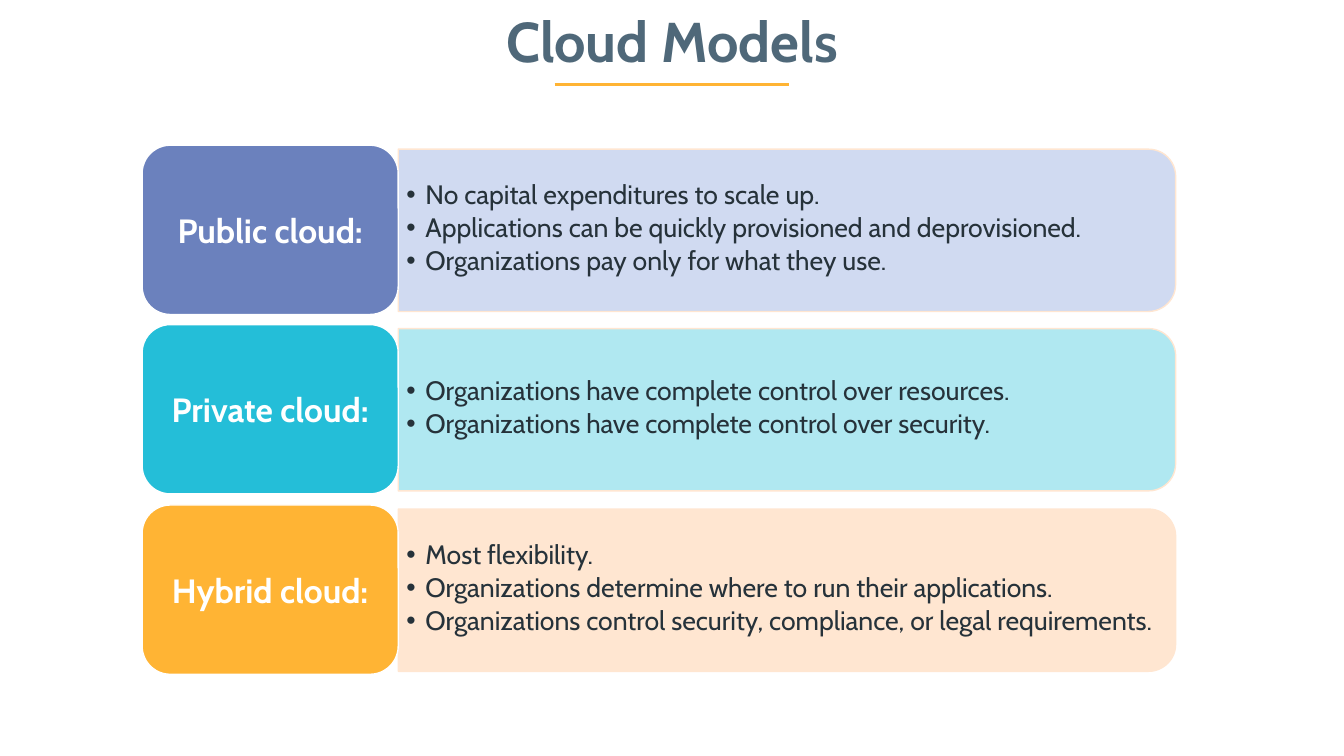
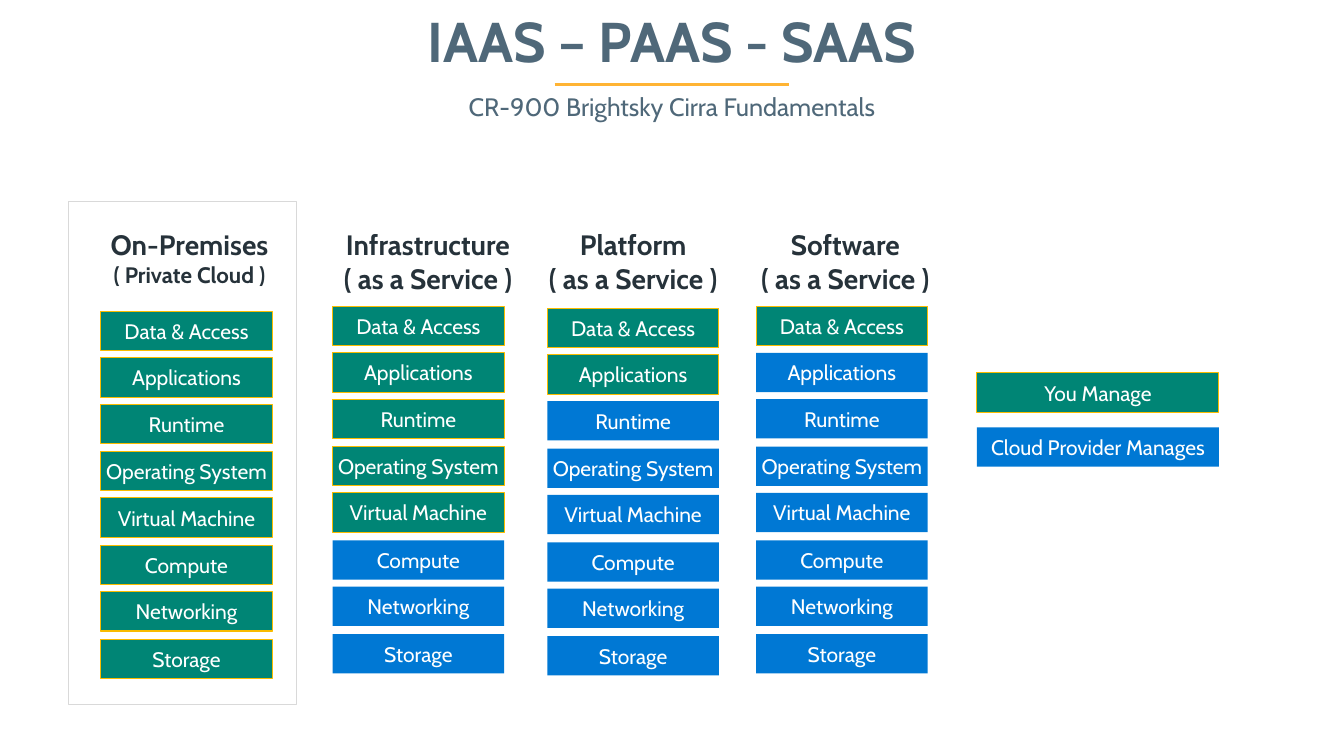
from lxml.etree import SubElement
from pptx import Presentation
from pptx.dml.color import RGBColor
from pptx.enum.shapes import MSO_CONNECTOR, MSO_SHAPE
from pptx.enum.text import MSO_ANCHOR, MSO_AUTO_SIZE, PP_ALIGN
from pptx.oxml.ns import qn
from pptx.util import Pt

PX = 9144  # 100 px to the inch
FONT = "Cabin"
SLATE, INK, WHITE, GOLD = "4F6879", "26323A", "FFFFFF", "FFB434"
GREEN, BLUE, EDGE, GREY = "008575", "0078D4", "F9BC00", "D9D9D9"
rgb = RGBColor.from_string


def write(shape, lines, size, color, bold=False, bullet=False, anchor=MSO_ANCHOR.MIDDLE):
    """Fill a shape with one paragraph per line; size may be a list, one per line."""
    frame = shape.text_frame
    frame.word_wrap = True
    frame.auto_size = MSO_AUTO_SIZE.NONE
    frame.vertical_anchor = anchor
    frame.margin_left = frame.margin_right = 8 * PX if bullet else 0
    frame.margin_top = frame.margin_bottom = 0
    sizes = size if isinstance(size, list) else [size] * len(lines)
    for i, (line, points) in enumerate(zip(lines, sizes)):
        para = frame.add_paragraph() if i else frame.paragraphs[0]
        para.alignment = PP_ALIGN.LEFT if bullet else PP_ALIGN.CENTER
        para.line_spacing = 0.9 if bullet else 1.0
        para.space_before = Pt(0)
        para.space_after = Pt(3 if bullet else 0)
        props = para._p.get_or_add_pPr()
        props.set("marL", str(19 * PX if bullet else 0))
        props.set("indent", str(-19 * PX if bullet else 0))
        if bullet:
            SubElement(props, qn("a:buChar")).set("char", "•")
        else:
            SubElement(props, qn("a:buNone"))
        run = para.add_run()
        run.text = line
        run.font.name = FONT
        run.font.size = Pt(points)
        run.font.bold = bold
        run.font.color.rgb = rgb(color)


def draw(slide, kind, box, fill=None, edge=None, width=0.75):
    """Add a flat preset shape, with or without fill and outline."""
    shape = slide.shapes.add_shape(kind, *[n * PX for n in box])
    shape.shadow.inherit = False
    if fill:
        shape.fill.solid()
        shape.fill.fore_color.rgb = rgb(fill)
    else:
        shape.fill.background()
    if edge:
        shape.line.color.rgb = rgb(edge)
        shape.line.width = Pt(width)
    else:
        shape.line.fill.background()
    return shape


deck = Presentation()
deck.slide_width, deck.slide_height = 1333 * PX, 750 * PX

# Shared title and gold rule
slides = []
for layout, title in [(4, "Cloud Models"), (1, "IAAS – PAAS - SAAS")]:
    slide = deck.slides.add_slide(deck.slide_layouts[layout])
    head = slide.shapes.title
    head.left, head.top, head.width, head.height = 0, 0, 1333 * PX, 80 * PX
    write(head, [title], 40, SLATE, bold=True)
    rule = slide.shapes.add_connector(
        MSO_CONNECTOR.STRAIGHT, 550 * PX, 84 * PX, 783 * PX, 84 * PX)
    rule.line.color.rgb = rgb(GOLD)
    rule.line.width = Pt(2.5)
    SubElement(rule._element.spPr, qn("a:effectLst"))
    slides.append(slide)
models, stacks = slides

# Slide 1: a label, a panel and a list for each cloud model
clouds = [
    ("Public cloud:", "6B81BD", "D0DAF1", [
        "No capital expenditures to scale up.",
        "Applications can be quickly provisioned and deprovisioned.",
        "Organizations pay only for what they use."]),
    ("Private cloud:", "24BED8", "B0E8F1", [
        "Organizations have complete control over resources.",
        "Organizations have complete control over security."]),
    ("Hybrid cloud:", GOLD, "FFE6D1", [
        "Most flexibility.",
        "Organizations determine where to run their applications.",
        "Organizations control security, compliance, or legal requirements."]),
]
long, thick = 771, 161  # panel sides before its quarter turn
for row, (name, dark, pale, points) in enumerate(clouds):
    top = 144 + row * 357 // 2
    mid = top + 84
    box = (395 + (long - thick) // 2, mid - long // 2, thick, long)
    panel = draw(models, MSO_SHAPE.ROUND_2_SAME_RECTANGLE, box, pale, "FFE6D1", 1)
    panel.rotation = 90
    items = models.placeholders[row + 1]
    items.left, items.top = 395 * PX, (mid - 73) * PX
    items.width, items.height = 763 * PX, 145 * PX
    write(items, points, 19, INK, bullet=True)
    panel.element.addnext(items.element)  # list in front of its panel
    label = draw(models, MSO_SHAPE.ROUNDED_RECTANGLE, (141, top, 254, 168), dark, WHITE, 1)
    write(label, [name], 24, WHITE, bold=True)
spare = models.placeholders[4].element
spare.getparent().remove(spare)

# Slide 2: subtitle
sub = stacks.placeholders[1]
sub.left, sub.top, sub.width, sub.height = 0, 86 * PX, 1333 * PX, 40 * PX
write(sub, ["CR-900 Brightsky Cirra Fundamentals"], 18, SLATE)

# Frame around the private cloud
draw(stacks, MSO_SHAPE.RECTANGLE, (68, 200, 226, 499), edge=GREY)

# Stacks: the first tiles of each are run by the customer
layers = ["Data & Access", "Applications", "Runtime", "Operating System",
          "Virtual Machine", "Compute", "Networking", "Storage"]
service = "( as a Service )"
# heading, second line, its size, heading left and width, tile left and top, own tiles
columns = [
    ("On-Premises", "( Private Cloud )", 16, 91, 194, 100, 309, 8),
    ("Infrastructure", service, 20, 315, 219, 330, 304, 5),
    ("Platform", service, 20, 524, 208, 543, 306, 2),
    ("Software", service, 20, 733, 211, 750, 304, 1),
]
tiles = []
for name, note, size, left, width, x, top, own in columns:
    head = stacks.shapes.add_textbox(left * PX, 226 * PX, width * PX, 65 * PX)
    write(head, [name, note], [20, size], INK, bold=True, anchor=MSO_ANCHOR.TOP)
    for i, layer in enumerate(layers):
        tiles.append((layer, x, top + i * 325 // 7, 170, i < own))

# Legend
tiles += [("You Manage", 969, 370, 240, True),
          ("Cloud Provider Manages", 969, 424, 240, False)]

for text, x, y, width, mine in tiles:
    tile = draw(stacks, MSO_SHAPE.RECTANGLE, (x, y, width, 39),
                GREEN if mine else BLUE, EDGE if mine else None)
    write(tile, [text], 15, WHITE)

deck.save("out.pptx")
